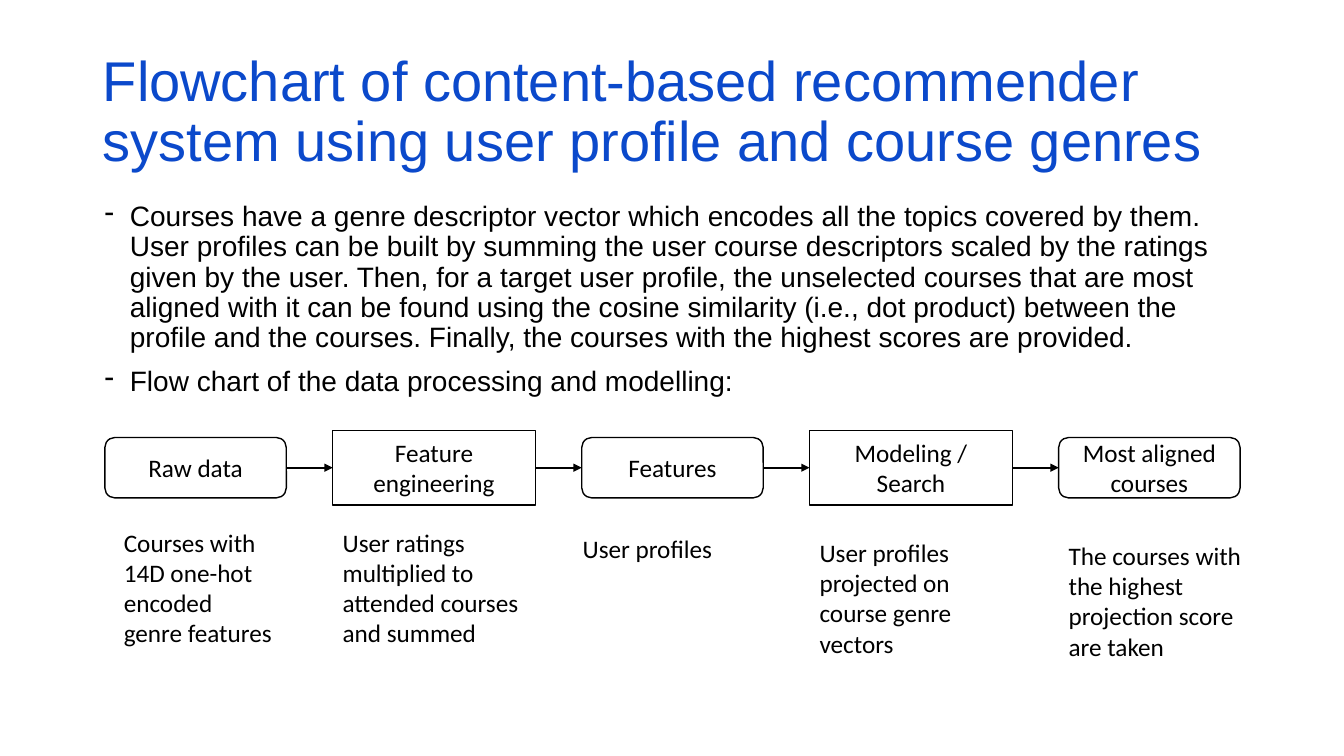
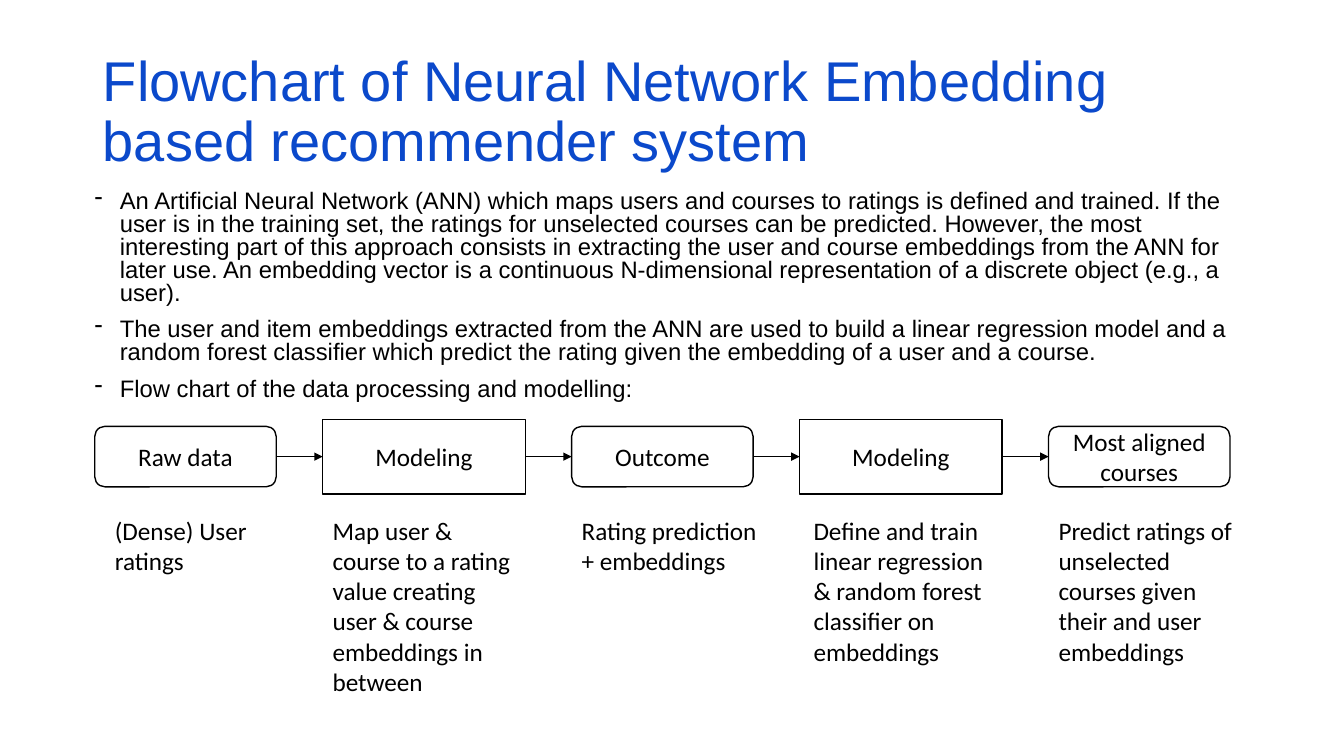
from dataclasses import dataclass
from itertools import pairwise

from lxml.etree import SubElement
from pptx import Presentation
from pptx.dml.color import RGBColor
from pptx.enum.shapes import MSO_CONNECTOR, MSO_SHAPE
from pptx.enum.text import MSO_ANCHOR, MSO_AUTO_SIZE, PP_ALIGN
from pptx.oxml.ns import qn
from pptx.util import Inches, Pt

BLUE = RGBColor(0x0B, 0x49, 0xCB)
BLACK = RGBColor(0, 0, 0)
WHITE = RGBColor(255, 255, 255)
HEADING_FONT = "Arial"
FLOW_FONT = "Calibri"

TITLE_BOX = (0.92, 0.4, 11.5, 1.45)
STATE_SIZE = (1.8, 0.6)
PROCESS_SIZE = (2.01, 0.74)
STEP_GAP = 0.46
LEFT_SITE, RIGHT_SITE = 1, 3


@dataclass
class Step:
    label: str
    caption: str
    caption_shift: float = 0
    caption_top: float = 0.9
    caption_width: float = 2.01


def style_font(paragraph, name, size, color=BLACK):
    paragraph.font.name = name
    paragraph.font.size = Pt(size)
    paragraph.font.color.rgb = color


def add_title(slide, text):
    title = slide.shapes.title
    title.left, title.top, title.width, title.height = map(Inches, TITLE_BOX)
    frame = title.text_frame
    frame.text = text
    frame.word_wrap = True
    frame.auto_size = MSO_AUTO_SIZE.NONE
    frame.vertical_anchor = MSO_ANCHOR.MIDDLE
    paragraph = frame.paragraphs[0]
    paragraph.alignment = PP_ALIGN.LEFT
    paragraph.line_spacing = 0.9
    style_font(paragraph, HEADING_FONT, 40, BLUE)


def add_bullets(slide, box, texts, size, line_spacing):
    frame = slide.shapes.add_textbox(*map(Inches, box)).text_frame
    frame.word_wrap = True
    frame.text = "\n".join(texts)
    for paragraph in frame.paragraphs:
        paragraph.line_spacing = line_spacing
        paragraph.space_before = Pt(10)
        style_font(paragraph, HEADING_FONT, size)
        properties = paragraph._p.get_or_add_pPr()
        properties.set("marL", str(Inches(0.25)))
        properties.set("indent", str(-Inches(0.25)))
        bullet = properties.makeelement(qn("a:buChar"), {"char": "-"})
        properties.find(qn("a:defRPr")).addprevious(bullet)


def add_step_box(slide, left, middle, label, is_process):
    width, height = PROCESS_SIZE if is_process else STATE_SIZE
    kind = MSO_SHAPE.RECTANGLE if is_process else MSO_SHAPE.ROUNDED_RECTANGLE
    shape = slide.shapes.add_shape(
        kind, Inches(left), Inches(middle - height / 2), Inches(width), Inches(height))
    shape.shadow.inherit = False
    if is_process:
        shape.fill.solid()
        shape.fill.fore_color.rgb = WHITE
    else:
        shape.fill.background()
    shape.line.color.rgb = BLACK
    shape.line.width = Pt(1)
    frame = shape.text_frame
    frame.text = label
    frame.word_wrap = True
    frame.vertical_anchor = MSO_ANCHOR.MIDDLE
    paragraph = frame.paragraphs[0]
    paragraph.alignment = PP_ALIGN.CENTER
    style_font(paragraph, FLOW_FONT, 18)
    return shape


def add_caption(slide, left, flow_top, step):
    box = slide.shapes.add_textbox(
        Inches(left + step.caption_shift), Inches(flow_top + step.caption_top),
        Inches(step.caption_width), Inches(0.4))
    frame = box.text_frame
    frame.text = step.caption
    frame.word_wrap = True
    frame.auto_size = MSO_AUTO_SIZE.SHAPE_TO_FIT_TEXT
    style_font(frame.paragraphs[0], FLOW_FONT, 18)


def add_arrow(slide, source, target):
    arrow = slide.shapes.add_connector(MSO_CONNECTOR.STRAIGHT, 0, 0, 0, 0)
    arrow.begin_connect(source, RIGHT_SITE)
    arrow.end_connect(target, LEFT_SITE)
    arrow.line.color.rgb = BLACK
    arrow.line.width = Pt(1.25)
    SubElement(arrow.line._get_or_add_ln(), qn("a:tailEnd"), type="triangle")
    SubElement(arrow._element.spPr, qn("a:effectLst"))


def add_flow(slide, left, top, steps):
    middle = top + PROCESS_SIZE[1] / 2
    boxes = []
    for index, step in enumerate(steps):
        is_process = index % 2 == 1
        boxes.append(add_step_box(slide, left, middle, step.label, is_process))
        add_caption(slide, left, top, step)
        left += (PROCESS_SIZE if is_process else STATE_SIZE)[0] + STEP_GAP
    for source, target in pairwise(boxes):
        add_arrow(slide, source, target)


def add_flowchart_slide(presentation, title, bullets, flow):
    slide = presentation.slides.add_slide(presentation.slide_layouts.get_by_name("Title Only"))
    add_title(slide, title)
    add_bullets(slide, **bullets)
    add_flow(slide, **flow)


FLOW_INTRODUCTION = "Flow chart of the data processing and modelling:"

SLIDES = [
    dict(
        title="Flowchart of content-based recommender system using user profile and course genres",
        bullets=dict(
            box=(0.94, 1.96, 11.5, 2.04), size=20, line_spacing=0.9,
            texts=[
                "Courses have a genre descriptor vector which encodes all the topics covered by "
                "them. User profiles can be built by summing the user course descriptors scaled "
                "by the ratings given by the user. Then, for a target user profile, the "
                "unselected courses that are most aligned with it can be found using the cosine "
                "similarity (i.e., dot product) between the profile and the courses. Finally, "
                "the courses with the highest scores are provided.",
                FLOW_INTRODUCTION,
            ]),
        flow=dict(left=1.04, top=4.27, steps=[
            Step("Raw data", "Courses with 14D one-hot encoded genre features", 0.09, 0.91, 1.7),
            Step("Feature engineering", "User ratings multiplied to attended courses and summed",
                 caption_top=0.91),
            Step("Features", "User profiles", -0.09, 0.97),
            Step("Modeling / Search", "User profiles projected on course genre vectors",
                 caption_top=1.01),
            Step("Most aligned courses", "The courses with the highest projection score are taken",
                 caption_top=1.04),
        ])),
    dict(
        title="Flowchart of Neural Network Embedding based recommender system",
        bullets=dict(
            box=(0.84, 1.85, 11.5, 2.04), size=17, line_spacing=0.8,
            texts=[
                "An Artificial Neural Network (ANN) which maps users and courses to ratings is "
                "defined and trained. If the user is in the training set, the ratings for "
                "unselected courses can be predicted. However, the most interesting part of this "
                "approach consists in extracting the user and course embeddings from the ANN for "
                "later use. An embedding vector is a continuous N-dimensional representation of "
                "a discrete object (e.g., a user).",
                "The user and item embeddings extracted from the ANN are used to build a linear "
                "regression model and a random forest classifier which predict the rating given "
                "the embedding of a user and a course.",
                FLOW_INTRODUCTION,
            ]),
        flow=dict(left=0.94, top=4.16, steps=[
            Step("Raw data", "(Dense) User ratings", 0.1, caption_width=1.7),
            Step("Modeling", "Map user & course to a rating value creating user & course "
                 "embeddings in between"),
            Step("Outcome", "Rating prediction + embeddings"),
            Step("Modeling", "Define and train linear regression & random forest classifier on "
                 "embeddings", 0.04),
            Step("Most aligned courses", "Predict ratings of unselected courses given their and "
                 "user embeddings"),
        ])),
]


def main():
    presentation = Presentation()
    presentation.slide_width = Inches(13.33)
    presentation.slide_height = Inches(7.5)
    for content in SLIDES:
        add_flowchart_slide(presentation, **content)
    presentation.save("out.pptx")


if __name__ == "__main__":
    main()
